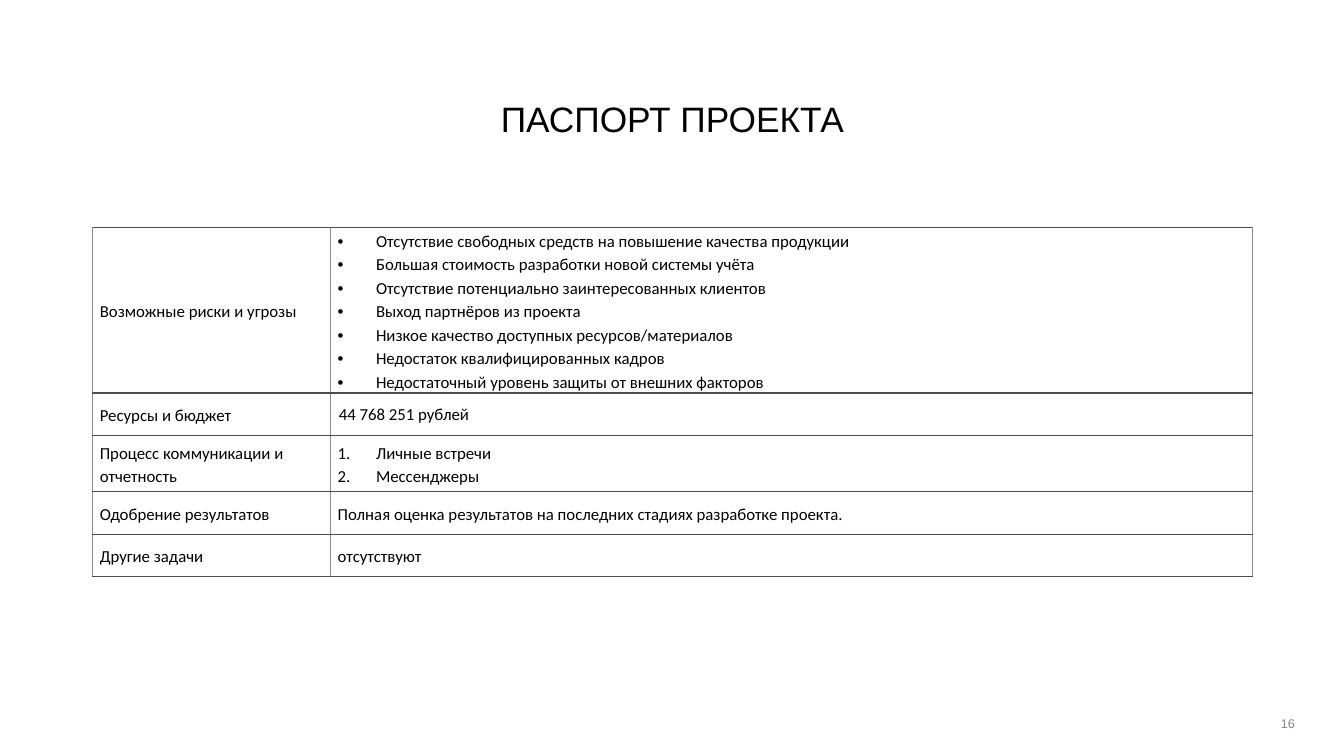
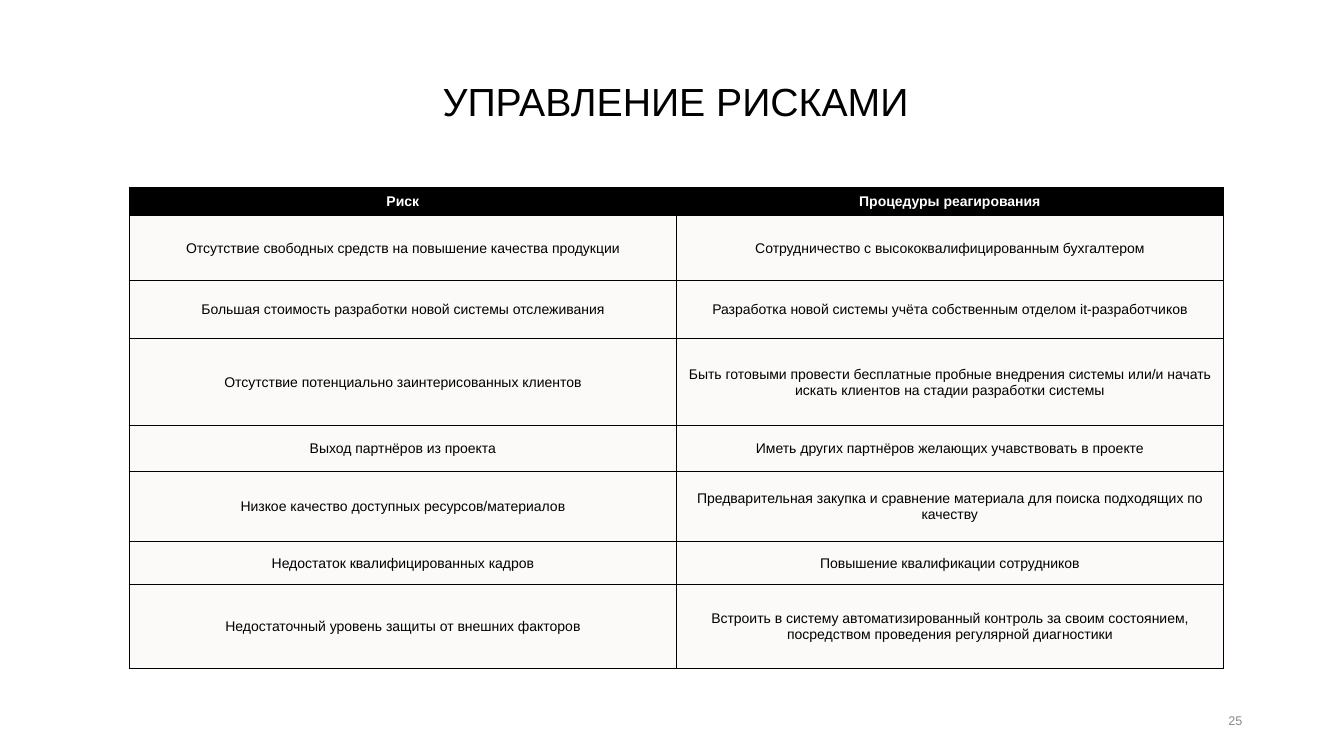
from dataclasses import dataclass

from lxml.etree import SubElement
from pptx import Presentation
from pptx.dml.color import RGBColor
from pptx.enum.text import MSO_ANCHOR, MSO_AUTO_SIZE, PP_ALIGN
from pptx.oxml.ns import qn
from pptx.util import Inches, Pt

BLACK = RGBColor(0x00, 0x00, 0x00)
WHITE = RGBColor(0xFF, 0xFF, 0xFF)
CREAM = RGBColor(0xFB, 0xFA, 0xF9)
PAGE_GRAY = RGBColor(0x88, 0x88, 0x88)
SIDE_GRAY = RGBColor(0x89, 0x89, 0x89)
RULE_GRAY = RGBColor(0x4D, 0x4D, 0x4D)

HEADING_FONT = "Arial"
BULLET = ("buChar", {"char": "•"})
NUMBER = ("buAutoNum", {"type": "arabicPeriod"})
LIST_INDENT = Inches(0.38)


@dataclass
class CellStyle:
    font: str
    size: float
    color: RGBColor
    fill: RGBColor
    margins: tuple  # left, top, right, bottom in inches
    side_color: RGBColor
    rule_color: RGBColor
    line_width: float
    align: PP_ALIGN = PP_ALIGN.LEFT
    spacing: float = 1.0
    bold: bool = False


PASSPORT = CellStyle("Calibri", 12, BLACK, WHITE, (0.07, 0, 0.07, 0),
                     SIDE_GRAY, RULE_GRAY, 1, spacing=1.15)
BUDGET = CellStyle("Calibri", 12, BLACK, WHITE, (0.08, 0.01, 0.01, 0),
                   SIDE_GRAY, RULE_GRAY, 1)
RISK_HEADER = CellStyle("Arial", 10, WHITE, BLACK, (0.01, 0.01, 0.01, 0),
                        BLACK, BLACK, 0.75, PP_ALIGN.CENTER, bold=True)
RISK_BODY = CellStyle("Arial", 10, BLACK, CREAM, (0.01, 0.01, 0.01, 0),
                      BLACK, BLACK, 0.75, PP_ALIGN.CENTER)

PASSPORT_ROWS = [
    ("Возможные риски и угрозы", [
        "Отсутствие свободных средств на повышение качества продукции",
        "Большая стоимость разработки новой системы учёта",
        "Отсутствие потенциально заинтересованных клиентов",
        "Выход партнёров из проекта",
        "Низкое качество доступных ресурсов/материалов",
        "Недостаток квалифицированных кадров",
        "Недостаточный уровень защиты от внешних факторов",
    ], PASSPORT, BULLET),
    ("Ресурсы и бюджет", ["44 768 251 рублей"], BUDGET, None),
    ("Процесс коммуникации и отчетность", ["Личные встречи", "Мессенджеры"],
     PASSPORT, NUMBER),
    ("Одобрение результатов",
     ["Полная оценка результатов на последних стадиях разработке проекта."],
     PASSPORT, None),
    ("Другие задачи", ["отсутствуют"], PASSPORT, None),
]

RISK_ROWS = [
    ("Риск", "Процедуры реагирования"),
    ("Отсутствие свободных средств на повышение качества продукции",
     "Сотрудничество с высококвалифицированным бухгалтером"),
    ("Большая стоимость разработки новой системы отслеживания",
     "Разработка новой системы учёта собственным отделом it-разработчиков"),
    ("Отсутствие потенциально заинтерисованных клиентов",
     "Быть готовыми провести бесплатные пробные внедрения системы или/и начать "
     "искать клиентов на стадии разработки системы"),
    ("Выход партнёров из проекта",
     "Иметь других партнёров желающих учавствовать в проекте"),
    ("Низкое качество доступных ресурсов/материалов",
     "Предварительная закупка и сравнение материала для поиска подходящих по качеству"),
    ("Недостаток квалифицированных кадров", "Повышение квалификации сотрудников"),
    ("Недостаточный уровень защиты от внешних факторов",
     "Встроить в систему автоматизированный контроль за своим состоянием, "
     "посредством проведения регулярной диагностики"),
]


def add_run(para, text, font, size, color, bold=False):
    span = para.add_run()
    span.text = text
    span.font.name = font
    span.font.size = Pt(size)
    span.font.color.rgb = color
    span.font.bold = bold


def add_page(deck, title, size, place, anchor=MSO_ANCHOR.MIDDLE):
    page = deck.slides.add_slide(deck.slide_layouts[5])
    box = page.shapes.title
    box.left, box.top, box.width, box.height = map(Inches, place)
    frame = box.text_frame
    frame.auto_size = MSO_AUTO_SIZE.NONE
    frame.word_wrap = True
    frame.vertical_anchor = anchor
    para = frame.paragraphs[0]
    para.alignment = PP_ALIGN.CENTER
    para.line_spacing = 0.9
    add_run(para, title, HEADING_FONT, size, BLACK)
    return page


def add_page_number(page, number, left, top):
    box = page.shapes.add_textbox(Inches(left), Inches(top), Inches(3), Inches(0.4))
    frame = box.text_frame
    frame.word_wrap = True
    frame.vertical_anchor = MSO_ANCHOR.MIDDLE
    para = frame.paragraphs[0]
    para.alignment = PP_ALIGN.RIGHT
    add_run(para, str(number), HEADING_FONT, 9, PAGE_GRAY)


def add_list_mark(para, mark):
    tag, attributes = mark
    properties = para._p.get_or_add_pPr()
    properties.set("marL", str(LIST_INDENT))
    properties.set("indent", str(-LIST_INDENT))
    color = SubElement(properties, qn("a:buClr"))
    SubElement(color, qn("a:srgbClr"), val=str(BLACK))
    if mark is BULLET:
        SubElement(properties, qn("a:buFont"), typeface="Arial")
    SubElement(properties, qn("a:" + tag), **attributes)


def add_borders(cell, style):
    properties = cell._tc.get_or_add_tcPr()
    for side in "LRTB":
        color = style.side_color if side in "LR" else style.rule_color
        line = SubElement(properties, qn("a:ln" + side), w=str(Pt(style.line_width)))
        fill = SubElement(line, qn("a:solidFill"))
        SubElement(fill, qn("a:srgbClr"), val=str(color))


def fill_cell(cell, texts, style, mark=None):
    add_borders(cell, style)
    cell.fill.solid()
    cell.fill.fore_color.rgb = style.fill
    cell.vertical_anchor = MSO_ANCHOR.MIDDLE
    (cell.margin_left, cell.margin_top,
     cell.margin_right, cell.margin_bottom) = map(Inches, style.margins)
    frame = cell.text_frame
    for index, text in enumerate(texts):
        para = frame.add_paragraph() if index else frame.paragraphs[0]
        if mark:
            add_list_mark(para, mark)
        para.alignment = style.align
        para.line_spacing = style.spacing
        add_run(para, text, style.font, style.size, style.color, style.bold)


def add_grid(page, left, top, widths, heights):
    """Add an unbanded table with the given column widths and row heights."""
    frame = page.shapes.add_table(len(heights), len(widths), Inches(left), Inches(top),
                                  Inches(sum(widths)), Inches(sum(heights)))
    table = frame.table
    table.first_row = table.horz_banding = False
    for column, width in zip(table.columns, widths):
        column.width = Inches(width)
    for row, height in zip(table.rows, heights):
        row.height = Inches(height)
    return table


def build_passport(deck):
    page = add_page(deck, "ПАСПОРТ ПРОЕКТА", 25.2, (0.92, 0.96, 11.5, 0.78),
                    MSO_ANCHOR.TOP)
    add_page_number(page, 16, 9.94, 6.98)
    table = add_grid(page, 0.92, 2.26, (2.36, 9.14), (1.64, 0.42, 0.56, 0.42, 0.42))
    for row, (label, texts, style, mark) in enumerate(PASSPORT_ROWS):
        fill_cell(table.cell(row, 0), [label], PASSPORT)
        fill_cell(table.cell(row, 1), texts, style, mark)


def build_risks(deck):
    page = add_page(deck, "УПРАВЛЕНИЕ РИСКАМИ", 28, (0.8, 0.52, 11.8, 1.01))
    add_page_number(page, 25, 9.42, 6.95)
    table = add_grid(page, 1.28, 1.86, (5.43, 5.42),
                     (0.28, 0.64, 0.58, 0.86, 0.46, 0.69, 0.43, 0.83))
    for row, texts in enumerate(RISK_ROWS):
        style = RISK_BODY if row else RISK_HEADER
        for column, text in enumerate(texts):
            fill_cell(table.cell(row, column), [text], style)


def main():
    deck = Presentation()
    deck.slide_width = Inches(13.33)
    deck.slide_height = Inches(7.5)
    build_passport(deck)
    build_risks(deck)
    deck.save("out.pptx")


if __name__ == "__main__":
    main()
